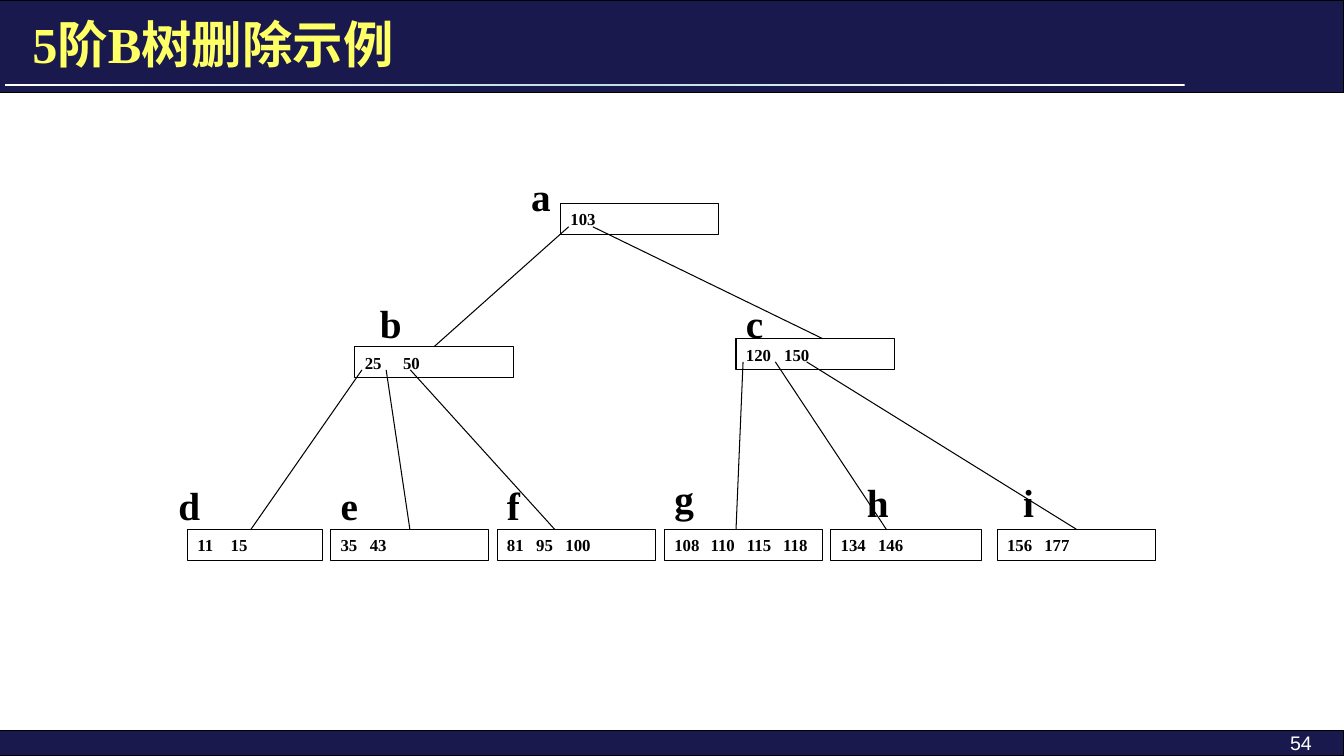
from copy import deepcopy

from pptx import Presentation
from pptx.dml.color import RGBColor
from pptx.enum.shapes import MSO_CONNECTOR, MSO_SHAPE
from pptx.enum.text import MSO_ANCHOR, PP_ALIGN
from pptx.oxml.ns import qn
from pptx.util import Inches, Pt

NAVY = RGBColor(0x19, 0x19, 0x4D)
YELLOW = RGBColor(0xFF, 0xFF, 0x66)
PALE_BLUE = RGBColor(0xBB, 0xE0, 0xE3)
WHITE = RGBColor(0xFF, 0xFF, 0xFF)
BLACK = RGBColor(0, 0, 0)
SERIF = "Times New Roman"
TOP, LEAF_Y = 0, 5.25

# name: (left, top, width, keys, distance between keys, label position)
NODES = {
    "a": (5.56, 2.02, 1.57, [103], 0.37, (5.17, 1.66)),
    "b": (3.52, 3.44, 1.57, [25, 50], 0.38, (3.67, 2.92)),
    "c": (7.3, 3.36, 1.57, [120, 150], 0.38, (7.3, 2.92)),
    "d": (1.86, LEAF_Y, 1.34, [11, 15], 0.33, (1.67, 4.73)),
    "e": (3.28, LEAF_Y, 1.57, [35, 43], 0.29, (3.28, 4.73)),
    "f": (4.93, LEAF_Y, 1.57, [81, 95, 100], 0.29, (4.93, 4.73)),
    "g": (6.59, LEAF_Y, 1.57, [108, 110, 115, 118], 0.36, (6.59, 4.66)),
    "h": (8.24, LEAF_Y, 1.5, [134, 146], 0.37, (8.5, 4.7)),
    "i": (9.89, LEAF_Y, 1.57, [156, 177], 0.37, (10.05, 4.7)),
}

# start x, start y, child, end x (None: middle of the child's top side)
BRANCHES = [
    (5.64, 2.25, "b", None),
    (5.88, 2.25, "c", 8.16),
    (3.59, 3.67, "d", 2.49),
    (3.83, 3.67, "e", None),
    (4.07, 3.67, "f", 5.5),
    (7.37, 3.59, "g", 7.3),
    (7.69, 3.59, "h", 8.79),
    (8, 3.59, "i", None),
]


def style(p, size, color, font=SERIF, bold=True):
    for r in p.runs:
        r.font.name = font
        r.font.size = Pt(size)
        r.font.bold = bold
        r.font.color.rgb = color


def add_box(s, left, top, width, height, fill):
    sp = s.shapes.add_shape(MSO_SHAPE.RECTANGLE, Inches(left), Inches(top),
                            Inches(width), Inches(height))
    sp.shadow.inherit = False
    sp.fill.solid()
    sp.fill.fore_color.rgb = fill
    sp.line.color.rgb = BLACK
    sp.line.width = Pt(0.75)
    return sp


def add_text(s, text, left, top, width, height):
    sp = s.shapes.add_textbox(Inches(left), Inches(top), Inches(width), Inches(height))
    sp.text_frame.word_wrap = True
    sp.text_frame.text = text
    return sp.text_frame.paragraphs[0]


def add_title_rule(s):
    sp = add_box(s, 0.05, 0.83, 11.7, 0.02, WHITE)
    sp.line.fill.background()
    sp.fill.gradient()
    sp.fill.gradient_angle = 0
    stops = sp._element.spPr.find(".//" + qn("a:gsLst"))
    stops.append(deepcopy(stops[-1]))
    for stop, position, color in zip(sp.fill.gradient_stops, (0, 0.5, 1),
                                     (WHITE, PALE_BLUE, WHITE)):
        stop.position = position
        stop.color.rgb = color


def add_tabs(p, step, count):
    tabs = p._p.get_or_add_pPr().makeelement(qn("a:tabLst"), {})
    p._p.get_or_add_pPr().append(tabs)
    for i in range(1, count + 1):
        tab = tabs.makeelement(qn("a:tab"), {"pos": str(Inches(step * i)), "algn": "l"})
        tabs.append(tab)


def add_node(s, left, top, width, keys, step):
    sp = add_box(s, left, top, width, 0.31, WHITE)
    tf = sp.text_frame
    tf.vertical_anchor = MSO_ANCHOR.MIDDLE
    tf.text = "\t".join(str(key) for key in keys)
    p = tf.paragraphs[0]
    p.alignment = PP_ALIGN.LEFT
    if len(keys) > 1:
        add_tabs(p, step, len(keys) - 1)
    style(p, 12, BLACK)
    return sp


def add_branch(s, x, y, child, end_x):
    end = child.left if end_x is None else Inches(end_x)
    line = s.shapes.add_connector(MSO_CONNECTOR.STRAIGHT, Inches(x), Inches(y),
                                  end, child.top)
    if end_x is None:
        line.end_connect(child, TOP)
    line.line.color.rgb = BLACK
    line.line.width = Pt(0.75)
    sp_pr = line._element.spPr
    sp_pr.append(sp_pr.makeelement(qn("a:effectLst"), {}))


def set_title(s, text):
    title = s.shapes.title
    title.left, title.top = Inches(0.22), Inches(0.08)
    title.width, title.height = Inches(11.55), Inches(0.7)
    tf = title.text_frame
    tf.text = text
    tf.vertical_anchor = MSO_ANCHOR.MIDDLE
    tf.paragraphs[0].alignment = PP_ALIGN.LEFT
    style(tf.paragraphs[0], 36, YELLOW)
    s.shapes._spTree.append(title._element)  # in front of the header band


def main():
    prs = Presentation()
    prs.slide_width, prs.slide_height = Inches(13.33), Inches(7.5)
    s = prs.slides.add_slide(prs.slide_layouts[5])

    add_box(s, 0, 7.25, 13.33, 0.25, NAVY)
    add_box(s, 0, 0, 13.33, 0.92, NAVY)
    add_title_rule(s)
    set_title(s, "5阶B树删除示例")
    number = add_text(s, "54", 11.11, 7.2, 2, 0.25)
    number.alignment = PP_ALIGN.RIGHT
    style(number, 14, WHITE, "Arial", False)

    boxes = {}
    for name, (left, top, width, keys, step, _) in NODES.items():
        boxes[name] = add_node(s, left, top, width, keys, step)
    for x, y, child, end_x in BRANCHES:
        add_branch(s, x, y, boxes[child], end_x)
    for name, (*_, (left, top)) in NODES.items():
        style(add_text(s, name, left, top, 0.75, 0.57), 28, BLACK)

    prs.save("out.pptx")


if __name__ == "__main__":
    main()
